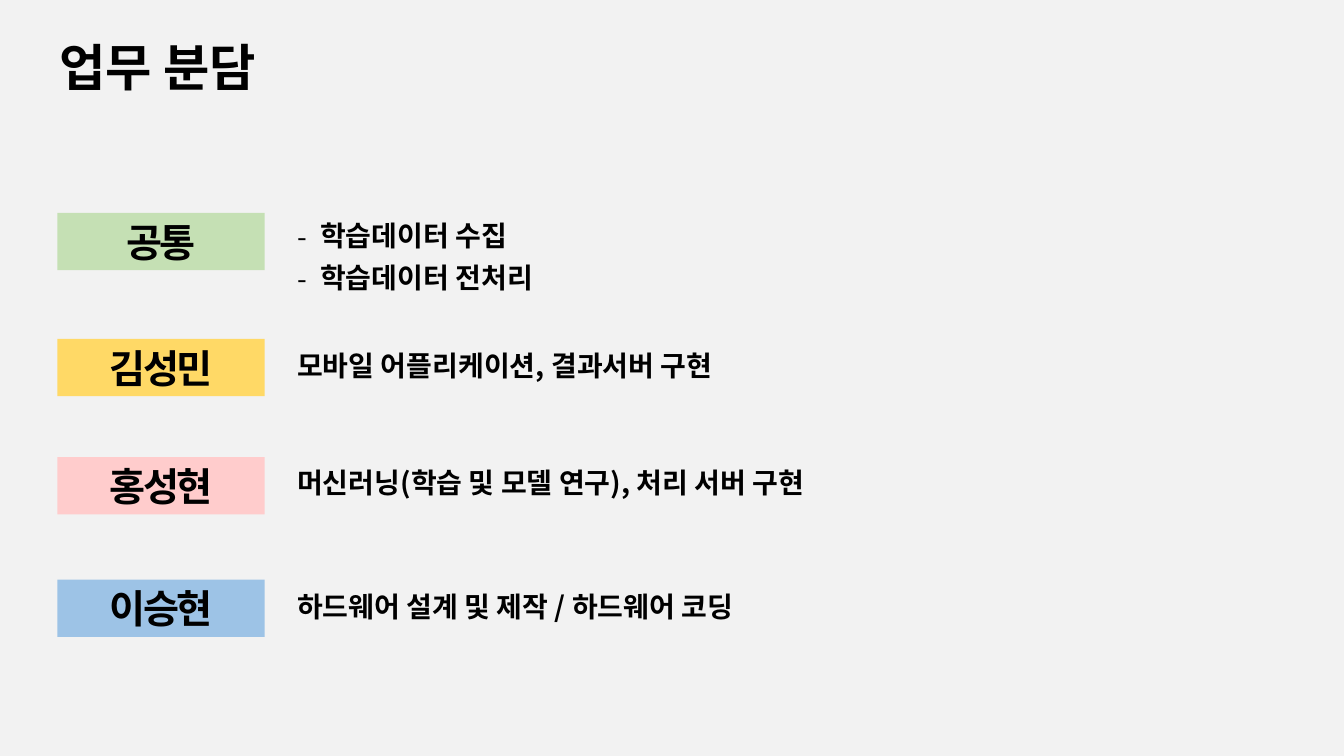
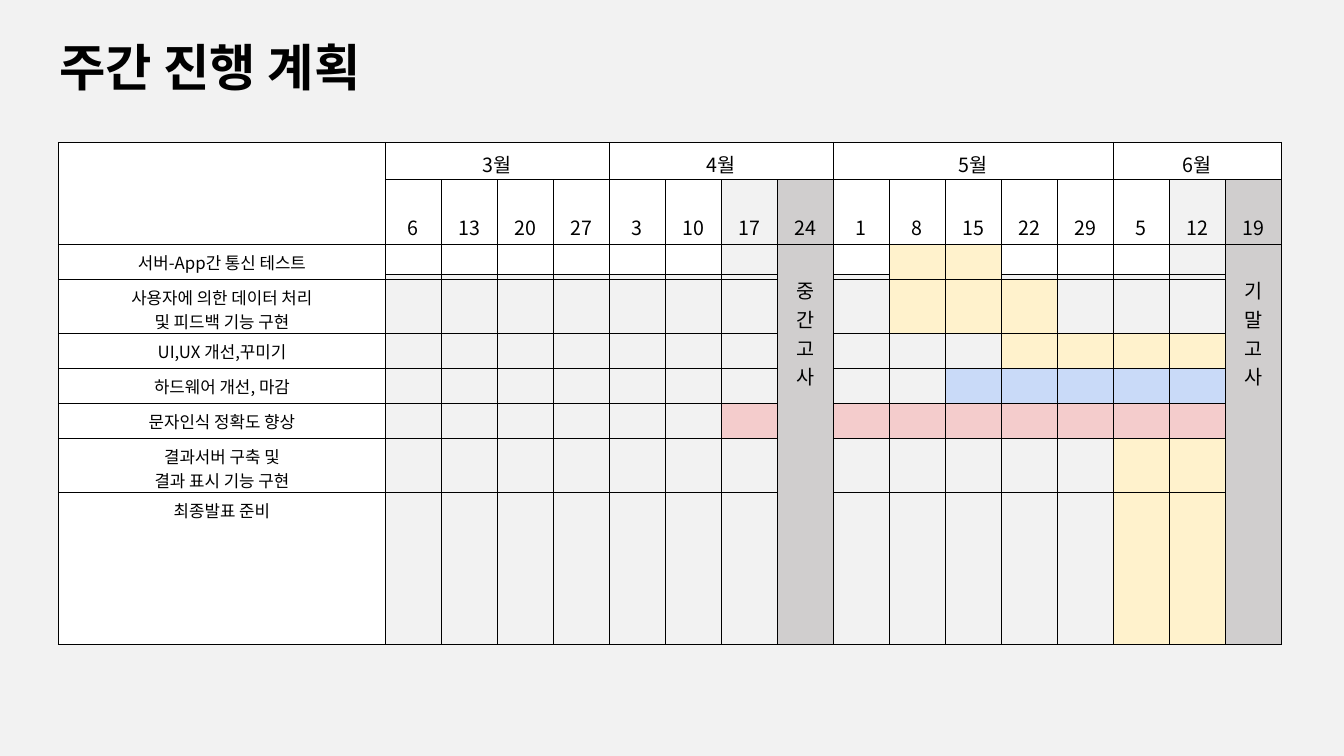
from lxml import etree
from pptx import Presentation
from pptx.dml.color import RGBColor
from pptx.enum.shapes import MSO_SHAPE
from pptx.enum.text import MSO_ANCHOR, PP_ALIGN
from pptx.oxml.ns import qn
from pptx.util import Pt

RECT = MSO_SHAPE.RECTANGLE
TOP, MIDDLE = MSO_ANCHOR.TOP, MSO_ANCHOR.MIDDLE
LEFT, CENTER = PP_ALIGN.LEFT, PP_ALIGN.CENTER

FONT = "Noto Sans CJK KR"
BLACK, WHITE, PAPER, GREY = "000000", "FFFFFF", "F2F2F2", "D0CECE"
YELLOW, BLUE, RED = "FFF2CC", "C9DAF8", "F4CCCC"
TIGHT, LOOSE = 0.84, 1.26
DASH = 16.4


def color(code):
    return RGBColor.from_string(code)


def add(parent, tag, **attrs):
    return etree.SubElement(parent, qn(tag), attrs)


def write(frame, text, size=20, bold=False, align=LEFT, space=None,
          track=0, dash=False):
    """Fill a text frame, one paragraph per line of text."""
    for i, line in enumerate(text.split("\n")):
        para = frame.add_paragraph() if i else frame.paragraphs[0]
        para.alignment = align
        if space:
            para.line_spacing = space
        if dash:
            props = para._p.get_or_add_pPr()
            props.set("marL", str(Pt(DASH)))
            props.set("indent", str(-Pt(DASH)))
            add(props, "a:buFont", typeface=FONT)
            add(props, "a:buChar", char="-")
        if not line:
            add(para._p, "a:endParaRPr", sz=str(size * 100))
            continue
        run = para.add_run()
        run.text = line
        font = run.font
        font.size, font.bold, font.name = Pt(size), bold, FONT
        font.color.rgb = color(BLACK)
        props = run._r.get_or_add_rPr()
        add(props, "a:ea", typeface=FONT)
        if track:
            props.set("spc", str(track))


class Deck:
    def __init__(self):
        self.file = Presentation()
        self.file.slide_width, self.file.slide_height = Pt(960), Pt(540)
        self.slide = None

    def page(self, title):
        self.slide = self.file.slides.add_slide(self.file.slide_layouts[6])
        fill = self.slide.background.fill
        fill.solid()
        fill.fore_color.rgb = color(PAPER)
        self.text(title, 35.3, 29, 307, 51, size=36, bold=True, space=TIGHT)

    def text(self, text, x, y, w, h, **style):
        box = self.slide.shapes.add_textbox(Pt(x), Pt(y), Pt(w), Pt(h))
        box.text_frame.word_wrap = True
        write(box.text_frame, text, **style)

    def badge(self, text, x, y, w, h, fill):
        box = self.slide.shapes.add_shape(RECT, Pt(x), Pt(y), Pt(w), Pt(h))
        box.shadow.inherit = False
        box.fill.solid()
        box.fill.fore_color.rgb = color(fill)
        box.line.fill.background()
        frame = box.text_frame
        frame.margin_top = frame.margin_bottom = 0
        frame.vertical_anchor = MIDDLE
        write(frame, text, size=28, bold=True, align=CENTER, track=-150)

    def grid(self, x, y, cols, rows):
        shape = self.slide.shapes.add_table(
            len(rows), len(cols), Pt(x), Pt(y), Pt(sum(cols)), Pt(sum(rows)))
        table = shape.table
        table.first_row = table.horz_banding = False
        for col, width in zip(table.columns, cols):
            col.width = Pt(width)
        for row, height in zip(table.rows, rows):
            row.height = Pt(height)
        return table

    def cell(self, cell, text="", fill=None, size=8, top=0, anchor=TOP):
        cell.margin_left = cell.margin_right = Pt(1.5)
        cell.margin_top, cell.margin_bottom = Pt(top), 0
        cell.vertical_anchor = anchor
        write(cell.text_frame, text, size=size, align=CENTER)
        if fill:
            cell.fill.solid()
            cell.fill.fore_color.rgb = color(fill)
        else:
            cell.fill.background()
        props = cell._tc.get_or_add_tcPr()
        for i, side in enumerate("LRTB"):
            edge = add(props, f"a:ln{side}", w=str(Pt(1)))
            add(add(edge, "a:solidFill"), "a:srgbClr", val=BLACK)
            props.insert(i, edge)

    def save(self):
        self.file.save("out.pptx")


def roles(deck):
    deck.page("업무 분담")
    people = [
        ("공통", 152, "C5E0B4"), ("김성민", 242, "FFD966"),
        ("홍성현", 326.5, "FFCCCC"), ("이승현", 414, "9DC3E6"),
    ]
    for name, y, fill in people:
        deck.badge(name, 41, y, 148, 41, fill)
    tasks = [
        ("학습데이터 수집\n학습데이터 전처리", 146.2, 76, LOOSE, True),
        ("모바일 어플리케이션, 결과서버 구현", 249, 32, TIGHT, False),
        ("머신러닝(학습 및 모델 연구), 처리 서버 구현", 332.5, 32, TIGHT, False),
        ("하드웨어 설계 및 제작 / 하드웨어 코딩", 411, 40, LOOSE, False),
    ]
    for task, y, h, space, dash in tasks:
        deck.text(task, 205.2, y, 387.4, h, bold=True, space=space, dash=dash)


def plan(deck):
    deck.page("주간 진행 계획")
    x, cols = 41.8, [233.5] + [40] * 16
    months = [("3월", [6, 13, 20, 27]), ("4월", [3, 10, 17, 24]),
              ("5월", [1, 8, 15, 22, 29]), ("6월", [5, 12, 19])]
    exams = {8: "중간고사", 16: "기말고사"}
    shades = {7: PAPER, 15: PAPER, 8: GREY, 16: GREY}

    head = deck.grid(x, 101.8, cols, [26.6, 67.7])
    head.cell(0, 0).merge(head.cell(1, 0))
    for row in range(2):
        deck.cell(head.cell(row, 0), fill=WHITE)
    col = 1
    for month, days in months:
        head.cell(0, col).merge(head.cell(0, col + len(days) - 1))
        for i, day in enumerate(days):
            deck.cell(head.cell(0, col), "" if i else month, WHITE, 14, 5)
            deck.cell(head.cell(1, col), str(day), shades.get(col, WHITE),
                      14, anchor=MIDDLE)
            col += 1

    jobs = [
        ("서버-App간 통신 테스트", 10, 11, YELLOW, 25),
        ("사용자에 의한 데이터 처리\n및 피드백 기능 구현", 10, 12, YELLOW, 38.8),
        ("UI,UX 개선,꾸미기", 12, 15, YELLOW, 25),
        ("하드웨어 개선, 마감", 11, 15, BLUE, 25),
        ("문자인식 정확도 향상", 7, 15, RED, 24.6),
        ("결과서버 구축 및\n결과 표시 기능 구현", 14, 15, YELLOW, 38.8),
        ("최종발표 준비", 14, 15, YELLOW, 108.6),
    ]
    body = deck.grid(x, 174.7, cols, [job[-1] for job in jobs])
    for col in exams:
        body.cell(0, col).merge(body.cell(len(jobs) - 1, col))
    for row, (job, first, last, fill, _) in enumerate(jobs):
        deck.cell(body.cell(row, 0), job, WHITE, 12, 4)
        for col in range(1, len(cols)):
            cell = body.cell(row, col)
            if col not in exams:
                deck.cell(cell, fill=fill if first <= col <= last else None)
            elif row:
                deck.cell(cell, fill=GREY)
            else:
                deck.cell(cell, "\n".join(exams[col]), GREY, 14, 22.5)


def main():
    deck = Deck()
    roles(deck)
    plan(deck)
    deck.save()


if __name__ == "__main__":
    main()
